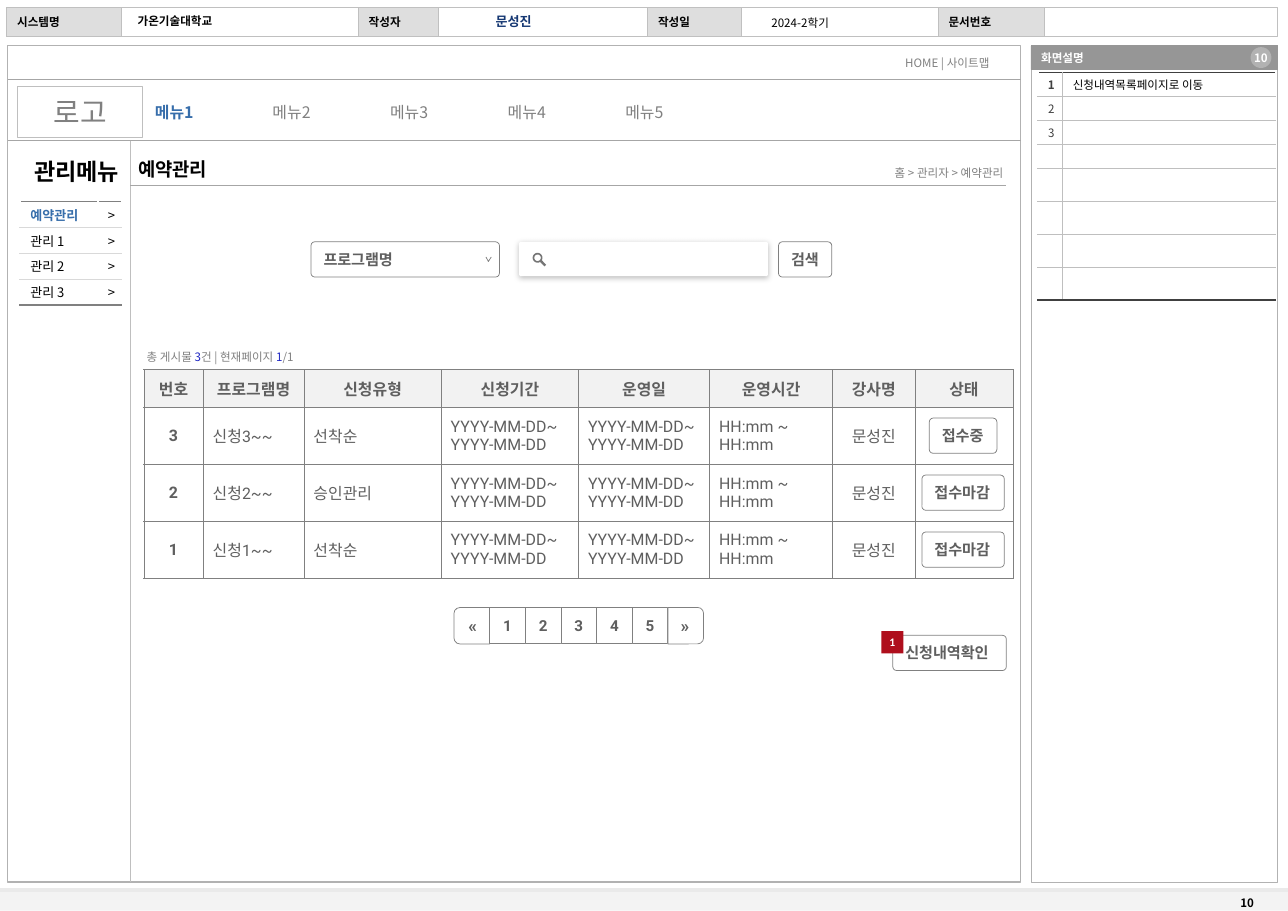
from itertools import accumulate
from math import cos, radians, sin

from lxml.etree import SubElement
from pptx import Presentation
from pptx.dml.color import RGBColor
from pptx.enum.shapes import MSO_CONNECTOR, MSO_SHAPE
from pptx.enum.text import MSO_ANCHOR, PP_ALIGN
from pptx.oxml.ns import qn
from pptx.util import Cm, Pt

SANS = "Noto Sans CJK KR"
ROBOTO = "Roboto"
LEFT, CENTER, RIGHT = PP_ALIGN.LEFT, PP_ALIGN.CENTER, PP_ALIGN.RIGHT
BLACK, WHITE, GRAY, DARK, BLUE = "000000", "FFFFFF", "808080", "5F5F5F", "376EAB"


def colour(value):
    return RGBColor.from_string(value)


def within(box, x, y, width, height):
    return box[0] + x, box[1] + y, width, height


def style_span(span, size, ink, bold=False, font=SANS):
    span.font.size, span.font.bold, span.font.name = Pt(size), bold, font
    span.font.color.rgb = colour(ink)
    SubElement(span.font._element, qn("a:ea"), typeface=SANS)


def write(frame, text, size, ink, bold=False, align=LEFT, font=SANS, margins=(0.25, 0.25)):
    frame.text = text
    frame.word_wrap = True
    frame.vertical_anchor = MSO_ANCHOR.MIDDLE
    frame.margin_left, frame.margin_right = map(Cm, margins)
    frame.margin_top = frame.margin_bottom = 0
    para = frame.paragraphs[0]
    para.alignment = align
    for span in para.runs:
        style_span(span, size, ink, bold, font)


def add_label(page, box, text, size, ink, **style):
    label = page.shapes.add_textbox(*map(Cm, box))
    write(label.text_frame, text, size, ink, **style)
    return label


def add_spans(label, size, pieces):
    para = label.text_frame.paragraphs[0]
    for text, ink, bold in pieces:
        span = para.add_run()
        span.text = text
        style_span(span, size, ink, bold)
    return para


def paint(shape, fill=None, line=None, weight=0.5):
    shape.shadow.inherit = False
    if fill:
        shape.fill.solid()
        shape.fill.fore_color.rgb = colour(fill)
    else:
        shape.fill.background()
    if line:
        shape.line.color.rgb = colour(line)
        shape.line.width = Pt(weight)
    else:
        shape.line.fill.background()
    return shape


def add_panel(page, box, fill=None, line=None, weight=0.5, kind=MSO_SHAPE.RECTANGLE):
    return paint(page.shapes.add_shape(kind, *map(Cm, box)), fill, line, weight)


def add_rule(page, box, x1, y1, x2, y2, ink, weight=0.75):
    ends = box[0] + x1, box[1] + y1, box[0] + x2, box[1] + y2
    rule = page.shapes.add_connector(MSO_CONNECTOR.STRAIGHT, *map(Cm, ends))
    rule.line.color.rgb = colour(ink)
    rule.line.width = Pt(weight)
    SubElement(rule._element.spPr, qn("a:effectLst"))


def add_button(page, box, text):
    button = add_panel(page, box, WHITE, GRAY, kind=MSO_SHAPE.ROUNDED_RECTANGLE)
    button.adjustments[0] = 0.11
    write(button.text_frame, text, 10.5, DARK, bold=True, font=ROBOTO, margins=(0.28, 0))


def add_grid(page, box, x, y, widths, heights):
    area = within(box, x, y, sum(widths), sum(heights))
    table = page.shapes.add_table(len(heights), len(widths), *map(Cm, area)).table
    table.first_row = table.horz_banding = False
    for column, width in zip(table.columns, widths):
        column.width = Cm(width)
    for row, height in zip(table.rows, heights):
        row.height = Cm(height)
    return table


def style_cell(cell, borders, fill=WHITE, weight=1):
    properties = cell._tc.get_or_add_tcPr()
    for side, ink in zip(("lnL", "lnR", "lnT", "lnB"), borders):
        edge = SubElement(properties, qn(f"a:{side}"), w=str(Pt(weight)))
        SubElement(SubElement(edge, qn("a:solidFill")), qn("a:srgbClr"), val=ink)
    cell.fill.solid()
    cell.fill.fore_color.rgb = colour(fill)


def write_cell(cell, text, size, ink, vertical=0.0, **style):
    write(cell.text_frame, text, size, ink, **style)
    cell.vertical_anchor = MSO_ANCHOR.MIDDLE
    cell.margin_left, cell.margin_right = map(Cm, style.get("margins", (0.25, 0.25)))
    cell.margin_top = cell.margin_bottom = Cm(vertical)
    if not text:
        cell.text_frame.paragraphs[0]._p.get_or_add_endParaRPr().set("sz", str(size * 100))


def draw_header(page, box):
    add_panel(page, box, WHITE, "C0C0C0", 0.75)
    for text, x, width in (("시스템명", 0, 2.79), ("작성자", 8.58, 1.96),
                           ("작성일", 15.64, 2.29), ("문서번호", 22.73, 2.59)):
        tag = add_panel(page, within(box, x, 0, width, box[3]), "DEDEDE", "C0C0C0", 0.75)
        write(tag.text_frame, text, 8, BLACK, bold=True)
    add_label(page, within(box, 2.94, 0, 5.6, 0.66), "가온기술대학교", 8, BLACK, bold=True)
    add_label(page, within(box, 10.56, 0, 3.61, 0.66), "문성진", 9, "163873", bold=True, align=CENTER)
    add_label(page, within(box, 18.11, 0.03, 2.5, 0.7), "2024-2학기", 8, BLACK, align=CENTER)


def draw_site_top(page, box):
    add_rule(page, box, 0, 0.81, box[2], 0.81, "A6A6A6")
    add_rule(page, box, 0, box[3], box[2], box[3], "A6A6A6")
    add_label(page, within(box, 21.64, 0.12, 2.9, 0.61), "HOME | 사이트맵", 8, GRAY)
    logo = add_panel(page, within(box, 0.23, 0.99, 3.05, 1.24), WHITE, "BFBFBF", 0.25)
    write(logo.text_frame, "로고", 20, GRAY, align=CENTER)
    menu = add_label(page, within(box, 3.33, 1.24, 16.56, 0.74), "", 11, GRAY)
    para = add_spans(menu, 11, (("메뉴1", BLUE, True), ("\t메뉴2\t메뉴3\t메뉴4\t메뉴5", GRAY, False)))
    stops = SubElement(para._p.get_or_add_pPr(), qn("a:tabLst"))
    for index in range(1, 5):
        SubElement(stops, qn("a:tab"), pos=str(Cm(2.87 * index)), algn="l")


def draw_side_menu(page, box):
    add_rule(page, box, box[2], 0, box[2], box[3], "BFBFBF", 0.25)
    add_label(page, within(box, 0, 0.28, 3.35, 0.94), "관리메뉴", 16, BLACK, bold=True, align=CENTER)
    entries = "예약관리", "관리 1", "관리 2", "관리 3"
    table = add_grid(page, box, 0.29, 1.49, (1.9, 0.58), [0.63] * len(entries))
    for row, entry in enumerate(entries):
        top = "D9D9D9" if row else GRAY
        bottom = GRAY if row == len(entries) - 1 else "D9D9D9"
        for column in range(2):
            style_cell(table.cell(row, column), (WHITE, WHITE, top, bottom))
        write_cell(table.cell(row, 0), entry, 9, BLACK if row else BLUE, bold=row == 0, margins=(0.25, 0))
        write_cell(table.cell(row, 1), ">", 9, BLACK, align=RIGHT, margins=(0, 0.16))


def draw_title(page, box):
    add_label(page, within(box, -0.06, 0.28, 4, 0.81), "예약관리", 13, BLACK, bold=True)
    add_label(page, within(box, 15.56, 0.48, 6, 0.61), "홈 > 관리자 > 예약관리", 8, GRAY, align=RIGHT)
    add_rule(page, box, 0, box[3], 21.36, box[3], "A6A6A6")


def add_outline(page, points, hole=()):
    first, *rest = [(Cm(x), Cm(y)) for x, y in points]
    builder = page.shapes.build_freeform(*first)
    builder.add_line_segments(rest, close=bool(hole))
    if hole:
        first, *rest = [(Cm(x), Cm(y)) for x, y in hole]
        builder.move_to(*first)
        builder.add_line_segments(rest)
    return builder.convert_to_shape()


def draw_search(page, box):
    left, top = box[:2]
    add_button(page, within(box, 0, 0, 4.6, box[3]), "프로그램명")
    chevron = [(left + x, top + y) for x, y in ((4.27, 0.37), (4.33, 0.48), (4.4, 0.37))]
    paint(add_outline(page, chevron), line=GRAY)

    field = add_panel(page, within(box, 5.08, 0, 6.07, 0.84), WHITE, kind=MSO_SHAPE.ROUNDED_RECTANGLE)
    field.adjustments[0] = 0.05
    shadow = SubElement(field._element.spPr.find(qn("a:effectLst")), qn("a:outerShdw"),
                        blurRad=str(Pt(4)), dist=str(Pt(1)), dir="5400000", rotWithShape="0")
    SubElement(SubElement(shadow, qn("a:srgbClr"), val=BLACK), qn("a:alpha"), val="25000")

    x, y = left + 5.53, top + 0.39
    lens = [(x + 0.12 * cos(radians(turn)), y + 0.12 * sin(radians(turn))) for turn in range(60, 391, 15)]
    hole = [(x + 0.08 * cos(radians(turn)), y + 0.08 * sin(radians(turn))) for turn in range(360, 0, -15)]
    handle = [(x + 0.21, y + 0.17), (x + 0.17, y + 0.21)]
    paint(add_outline(page, lens + handle, hole), "757575")
    add_button(page, within(box, 11.41, 0, 1.3, box[3]), "검색")


def draw_list(page, box):
    summary = add_label(page, within(box, -0.18, -0.61, 16.79, 0.61), "", 8, GRAY)
    add_spans(summary, 8, (("총 게시물 ", GRAY, False), ("3", "1F27C3", False), ("건 | 현재페이지 ", GRAY, False),
                           ("1", "1F27C3", False), ("/1", GRAY, False)))

    period, hours = "YYYY-MM-DD~ YYYY-MM-DD", "HH:mm ~ HH:mm"
    records = [("번호", "프로그램명", "신청유형", "신청기간", "운영일", "운영시간", "강사명", "상태")]
    for number, kind in ((3, "선착순"), (2, "승인관리"), (1, "선착순")):
        records.append((str(number), f"신청{number}~~", kind, period, period, hours, "문성진", ""))
    widths = 1.45, 2.46, 3.35, 3.35, 3.2, 3, 2.01, 2.39
    heights = 0.92, 1.39, 1.39, 1.39
    table = add_grid(page, box, 0, 0, widths, heights)
    for row, record in enumerate(records):
        for column, text in enumerate(record):
            cell = table.cell(row, column)
            style_cell(cell, [GRAY] * 4, WHITE if row else "F2F2F2", 0.5)
            write_cell(cell, text, 11, DARK, vertical=0.05, bold=row == 0 or column == 0, font=ROBOTO,
                       align=CENTER if row == 0 or column in (0, 6) else LEFT, margins=(0.23, 0.23))

    middle = sum(widths) - widths[-1] / 2 - 0.02
    states = ("접수중", 1.65), ("접수마감", 2.01), ("접수마감", 2.01)
    for top, (state, width) in zip(accumulate(heights), states):
        add_button(page, within(box, middle - width / 2, top + 0.26, width, 0.86), state)


def draw_pager(page, box):
    marks = "«12345»"
    step = box[2] / len(marks)
    turns = {"«": (270, "vert"), "»": (90, "vert270")}
    for index, mark in enumerate(marks):
        x = step * index
        if mark in turns:
            area = within(box, x + (step - box[3]) / 2, (box[3] - step) / 2, box[3], step)
            tile = add_panel(page, area, WHITE, GRAY, kind=MSO_SHAPE.ROUND_2_SAME_RECTANGLE)
            tile.rotation, direction = turns[mark]
            tile.text_frame._txBody.bodyPr.set("vert", direction)
        else:
            tile = add_panel(page, within(box, x, 0, step, box[3]), WHITE, GRAY)
        write(tile.text_frame, mark, 12 if mark in turns else 10.5, DARK, bold=True,
              align=CENTER, font=ROBOTO, margins=(0, 0))


def draw_confirm(page, box):
    add_button(page, box, "신청내역확인")
    badge = add_panel(page, within(box, -0.28, -0.1, 0.54, 0.54), "AF0F1D")
    write(badge.text_frame, "1", 8, WHITE, bold=True, align=CENTER, font="Calibri", margins=(0, 0))


def draw_notes(page, box):
    add_panel(page, box, line="B2B2B2")
    bar = add_panel(page, within(box, 0, 0, box[2], 0.58), "969696", "969696")
    write(bar.text_frame, "화면설명", 8, WHITE, bold=True)
    count = add_panel(page, within(box, 5.36, 0.03, 0.51, 0.51), "B2B2B2", kind=MSO_SHAPE.OVAL)
    write(count.text_frame, "10", 8, WHITE, bold=True, align=CENTER, margins=(0, 0))

    heights = [0.59] * 4 + [0.8] * 4
    notes = {0: "신청내역목록페이지로 이동"}
    table = add_grid(page, box, 0.17, 0.64, (0.6, 5.2), heights)
    for row in range(len(heights)):
        top = "BFBFBF" if row else "404040"
        bottom = "404040" if row == len(heights) - 1 else "BFBFBF"
        style_cell(table.cell(row, 0), (WHITE, "BFBFBF", top, bottom))
        style_cell(table.cell(row, 1), ("BFBFBF", WHITE, top, bottom))
        write_cell(table.cell(row, 0), str(row + 1) if row < 3 else "", 8, "404040",
                   bold=row == 0, align=CENTER, margins=(0.05, 0))
        write_cell(table.cell(row, 1), notes.get(row, ""), 8, BLACK)


def draw_footer(page, box):
    add_panel(page, box, "F3F3F3")
    add_rule(page, box, 0, 0, box[2], 0, "EAEAEA", 3)
    add_label(page, within(box, 30.02, 0, 1.4, 0.61), "10", 8, BLACK, bold=True)


def main():
    deck = Presentation()
    deck.slide_width, deck.slide_height = Pt(891), Pt(630)
    page = deck.slides.add_slide(deck.slide_layouts[6])
    draw_footer(page, (0, 21.72, 31.43, 0.5))
    draw_header(page, (0.17, 0.18, 31.01, 0.71))
    add_panel(page, (0.19, 1.12, 24.72, 20.4), line="B2B2B2", weight=0.75)
    draw_site_top(page, (0.2, 1.12, 24.71, 2.31))
    draw_side_menu(page, (0.2, 3.43, 2.98, 18.09))
    draw_title(page, (3.18, 3.43, 21.74, 1.09))
    draw_search(page, (7.59, 5.9, 12.71, 0.86))
    draw_list(page, (3.51, 9.02, 21.21, 5.09))
    draw_pager(page, (11.08, 14.82, 6.09, 0.89))
    draw_confirm(page, (21.79, 15.5, 2.77, 0.86))
    draw_notes(page, (25.16, 1.12, 6.02, 20.4))
    deck.save("out.pptx")


if __name__ == "__main__":
    main()
